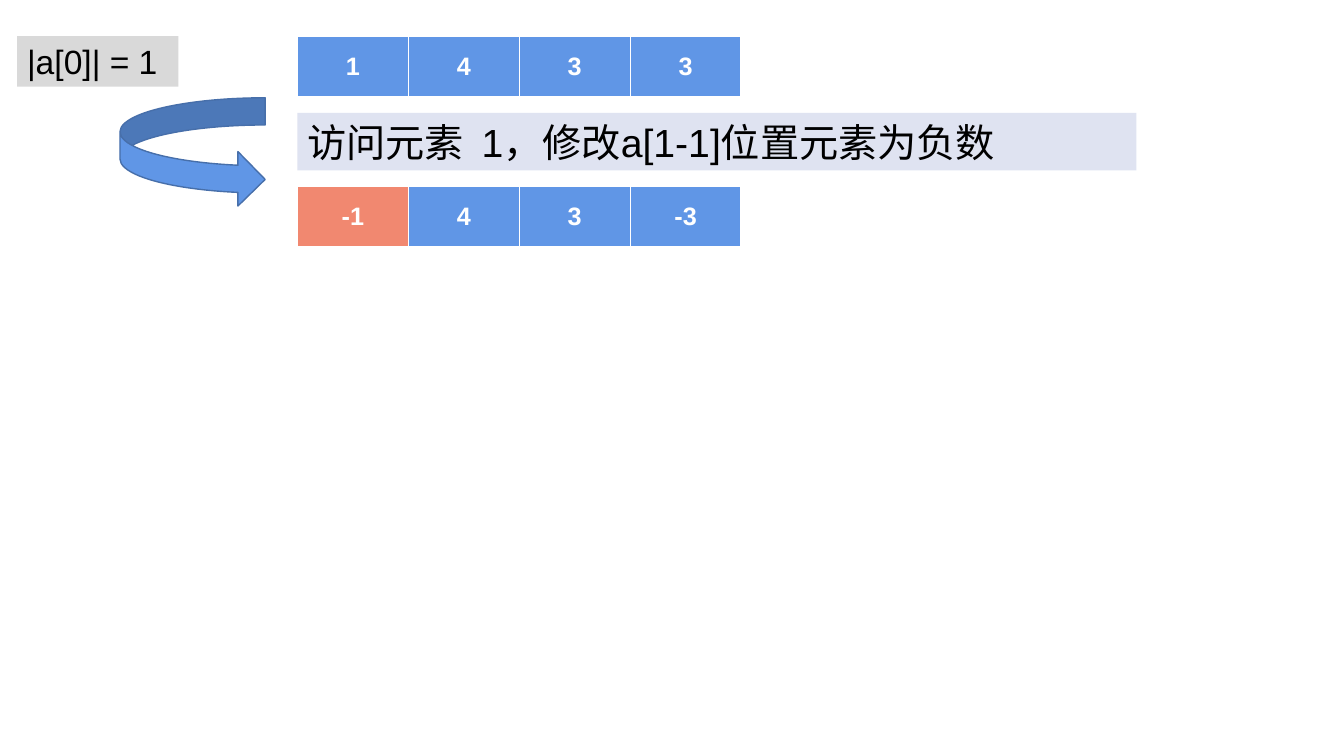
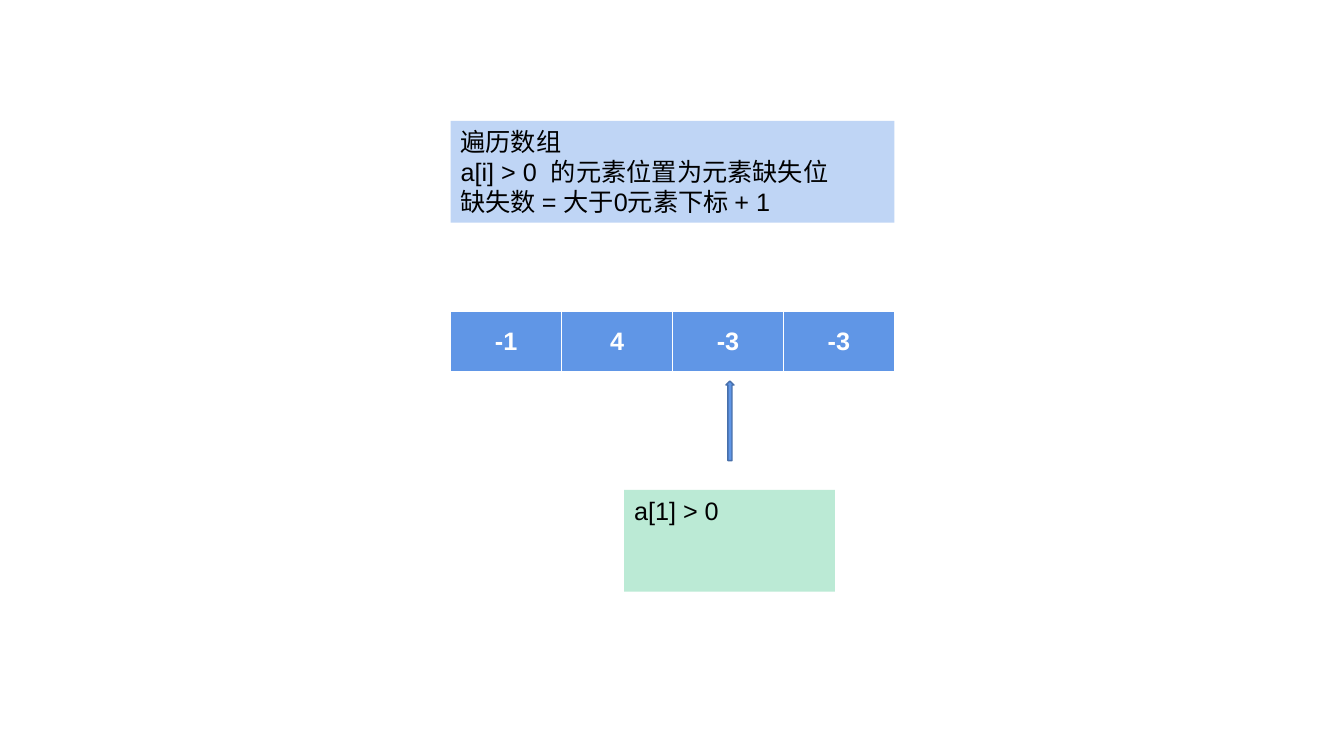
import dataclasses
import typing

import lxml.etree
import pptx
import pptx.dml.color
import pptx.enum.shapes
import pptx.enum.text
import pptx.oxml.ns
import pptx.slide
import pptx.util

Inches = pptx.util.Inches
Preset = pptx.enum.shapes.MSO_SHAPE

FONT = "Arial"
WHITE = "FFFFFF"
BLACK = "000000"
CELL_BLUE = "6096E6"
CHANGED_RED = "F18870"
ARROW_EDGE = "476FAA"
CELL_WIDTH = 1.1
CELL_HEIGHT = 0.61
BORDER_POINTS = {"lnL": 1, "lnR": 1, "lnT": 1, "lnB": 3}


@dataclasses.dataclass(frozen=True)
class ArrayRow:
    left: float
    top: float
    values: tuple[int, ...]
    changed: typing.Optional[int] = None


@dataclasses.dataclass(frozen=True)
class Note:
    left: float
    top: float
    width: float
    height: float
    fill: str
    size: int
    lines: tuple[str, ...]


@dataclasses.dataclass(frozen=True)
class Arrow:
    preset: Preset
    left: float
    top: float
    width: float
    height: float


Element = typing.Union[ArrayRow, Note, Arrow]

SLIDES: tuple[tuple[Element, ...], ...] = (
    (
        ArrayRow(2.95, 0.36, (1, 4, 3, 3)),
        ArrayRow(2.95, 1.85, (-1, 4, 3, -3), changed=0),
        Arrow(Preset.CURVED_RIGHT_ARROW, 1.19, 0.97, 1.44, 1.08),
        Note(2.95, 1.12, 8.32, 0.57, "DFE3F1", 28,
             ("访问元素  1，修改a[1-1]位置元素为负数",)),
        Note(0.17, 0.36, 1.6, 0.5, "D9D9D9", 24, ("|a[0]| = 1",)),
    ),
    (
        ArrayRow(4.47, 3.09, (-1, 4, -3, -3)),
        Note(4.47, 1.2, 4.4, 1.01, "BFD5F5", 18,
             ("遍历数组", "a[i] > 0  的元素位置为元素缺失位", "缺失数 = 大于0元素下标 + 1")),
        Note(6.19, 4.86, 2.09, 1.01, "BBEAD5", 18, ("a[1] > 0",)),
        Arrow(Preset.UP_ARROW, 7.2, 3.78, 0.08, 0.79),
    ),
)


def rgb(value: str) -> pptx.dml.color.RGBColor:
    return pptx.dml.color.RGBColor.from_string(value)


def paint(target: typing.Any, colour: str) -> None:
    """Give a shape or a table cell a solid fill."""
    target.fill.solid()
    target.fill.fore_color.rgb = rgb(colour)


def style_text(frame: typing.Any, size: int, colour: str, bold: bool = False) -> None:
    for paragraph in frame.paragraphs:
        for run in paragraph.runs:
            run.font.name = FONT
            run.font.size = pptx.util.Pt(size)
            run.font.bold = bold
            run.font.color.rgb = rgb(colour)


def add_borders(cell: typing.Any) -> None:
    """Add the white cell borders; the fill must be set afterwards."""
    qn = pptx.oxml.ns.qn
    properties = cell._tc.get_or_add_tcPr()
    for side, points in BORDER_POINTS.items():
        line = lxml.etree.SubElement(
            properties, qn(f"a:{side}"), w=str(pptx.util.Pt(points)))
        solid = lxml.etree.SubElement(line, qn("a:solidFill"))
        lxml.etree.SubElement(solid, qn("a:srgbClr"), val=WHITE)


def draw_array(slide: pptx.slide.Slide, row: ArrayRow) -> None:
    count = len(row.values)
    table = slide.shapes.add_table(
        1, count, Inches(row.left), Inches(row.top),
        Inches(CELL_WIDTH * count), Inches(CELL_HEIGHT)).table
    for index, value in enumerate(row.values):
        table.columns[index].width = Inches(CELL_WIDTH)
        cell = table.cell(0, index)
        add_borders(cell)
        paint(cell, CHANGED_RED if index == row.changed else CELL_BLUE)
        cell.vertical_anchor = pptx.enum.text.MSO_ANCHOR.MIDDLE
        cell.text_frame.text = str(value)
        cell.text_frame.paragraphs[0].alignment = pptx.enum.text.PP_ALIGN.CENTER
        style_text(cell.text_frame, 18, WHITE, bold=True)


def draw_note(slide: pptx.slide.Slide, note: Note) -> None:
    box = slide.shapes.add_textbox(
        Inches(note.left), Inches(note.top), Inches(note.width), Inches(note.height))
    paint(box, note.fill)
    box.text_frame.word_wrap = True
    box.text_frame.text = "\n".join(note.lines)
    style_text(box.text_frame, note.size, BLACK)


def draw_arrow(slide: pptx.slide.Slide, arrow: Arrow) -> None:
    shape = slide.shapes.add_shape(
        arrow.preset, Inches(arrow.left), Inches(arrow.top),
        Inches(arrow.width), Inches(arrow.height))
    shape.shadow.inherit = False
    paint(shape, CELL_BLUE)
    shape.line.color.rgb = rgb(ARROW_EDGE)
    shape.line.width = pptx.util.Pt(1)


DRAWERS = {ArrayRow: draw_array, Note: draw_note, Arrow: draw_arrow}


def main() -> None:
    deck = pptx.Presentation()
    deck.slide_width = Inches(13.33)
    deck.slide_height = Inches(7.5)
    blank = deck.slide_layouts[6]
    for elements in SLIDES:
        slide = deck.slides.add_slide(blank)
        for element in elements:
            DRAWERS[type(element)](slide, element)
    deck.save("out.pptx")


if __name__ == "__main__":
    main()
